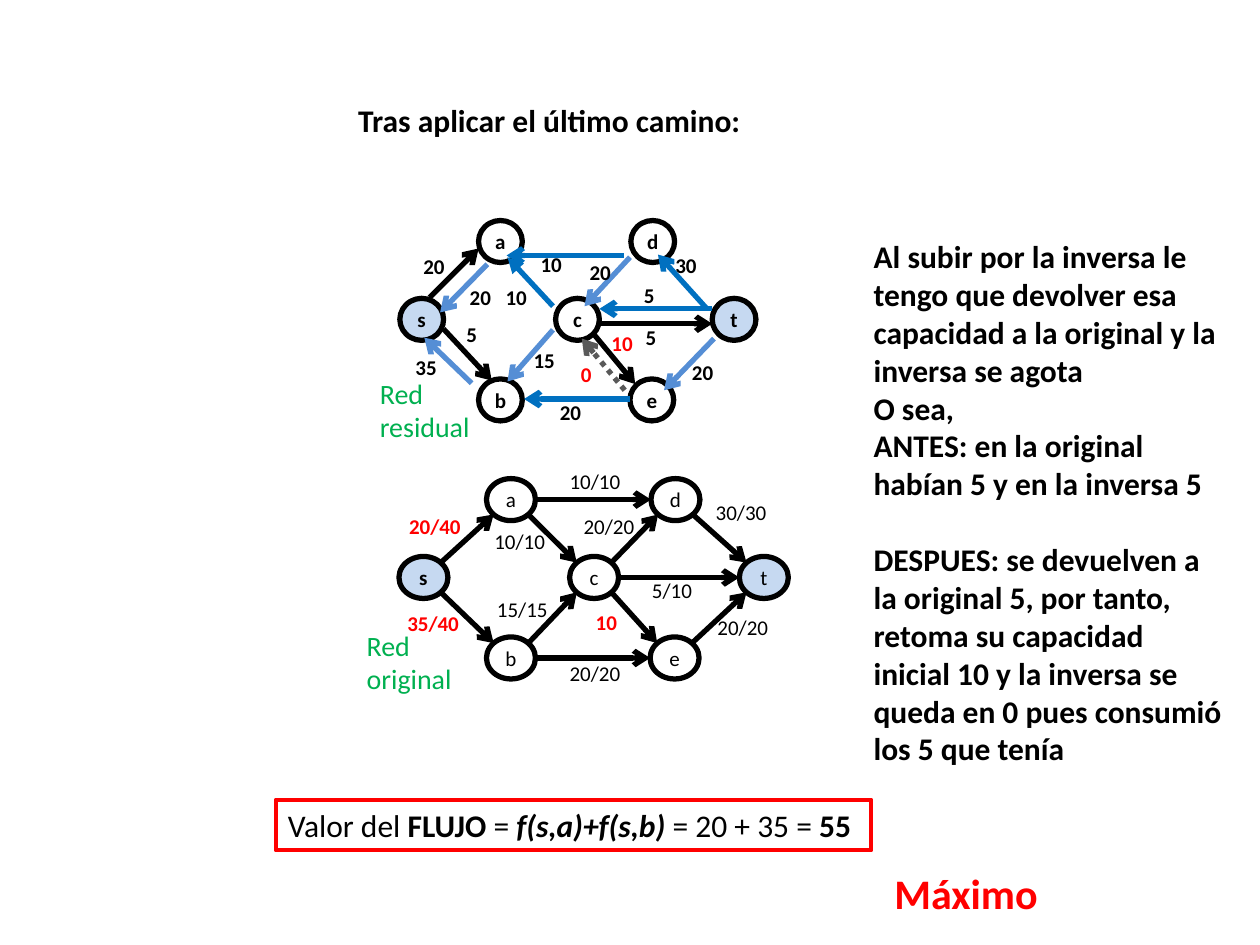
"""Build the slide showing the residual and original flow networks after the last path."""
from pptx import Presentation
from pptx.dml.color import RGBColor
from pptx.enum import dml, shapes, text
from pptx.oxml import ns, xmlchemy
from pptx.util import Pt

COLOURS = {
    "black": "000000", "red": "FF0000", "green": "00B050", "terminal": "C6D9F1",
    "light": "558ED5", "blue": "0070C0", "grey": "595959",
}
FRAME = {"word_wrap": True, "vertical_anchor": text.MSO_ANCHOR.TOP,
         "auto_size": text.MSO_AUTO_SIZE.NONE}
LABEL_FRAME = {**FRAME, "word_wrap": False}
NODE_FRAME = {**LABEL_FRAME, "vertical_anchor": text.MSO_ANCHOR.MIDDLE,
              "margin_left": 0, "margin_right": 0}
LEFT = {"alignment": text.PP_ALIGN.LEFT, "space_before": Pt(0)}
CENTRED = {**LEFT, "alignment": text.PP_ALIGN.CENTER}

RESIDUAL_NODES = {
    "s": (241, 182.5), "a": (286, 138), "b": (286, 228.5), "c": (330, 182.5),
    "d": (373, 138), "e": (372.5, 228.5), "t": (419.5, 182.5),
}
RESIDUAL_EDGES = {
    "black": [(245.5, 170, 273.5, 142), (253.5, 188, 281, 217.5),
              (342.5, 185, 407, 185), (338.5, 190, 363, 219.5)],
    "light": [(278.5, 151, 251.5, 178.5), (269.5, 219, 242.5, 193),
              (360, 147, 334, 175), (316, 188.5, 290, 218),
              (408, 193.5, 379.5, 223)],
    "blue": [(407, 176.5, 342.5, 176.5), (356.5, 146, 289.5, 146),
             (404, 176.5, 376, 145.5), (360, 228, 299.5, 228)],
}
RESIDUAL_CAPACITIES = [
    ("20", 248, 152.5), ("5", 372, 193), ("5", 269.5, 191), ("20", 274.5, 170),
    ("35", 243.5, 210), ("5", 371, 169), ("10", 315, 151), ("10", 295, 170),
    ("30", 392, 152), ("20", 343, 156), ("15", 311, 206), ("20", 401.5, 213),
    ("20", 326, 236),
]
CHANGED_CAPACITIES = [("10", 355.5, 196.5), ("0", 335, 214)]

FLOW_NODES = {
    "s": (242, 330), "a": (292, 285.5), "b": (292, 376), "c": (339.5, 330),
    "d": (386, 285.5), "e": (385.5, 376), "t": (436.5, 330),
}
FLOW_EDGES = ["sa", "sb", "be", "dt", "et", "ad", "ct", "ac", "ce", "bc", "cd"]
FLOWS = [
    ("10/10", 340, 275), ("30/30", 423.5, 293), ("10/10", 297, 309.5),
    ("5/10", 384, 337.5), ("20/20", 424.5, 358.5), ("20/20", 340, 385),
    ("15/15", 298.5, 348.5), ("20/20", 348, 301),
]
CHANGED_FLOWS = [("20/40", 248.5, 301), ("35/40", 247.5, 356.5), ("10", 346.5, 355.5)]

EXPLANATION = [
    "Al subir por la inversa le tengo que devolver esa capacidad a la original "
    "y la inversa se agota",
    "O sea,",
    "ANTES: en la original habían 5 y en la inversa 5",
    "DESPUES: se devuelven a la original 5, por tanto, retoma su capacidad inicial 10 "
    "y la inversa se queda en 0 pues consumió los 5 que tenía",
]
FLOW_VALUE = [
    ("Valor del ", {}), ("FLUJO ", {"bold": True}), ("= ", {}),
    ("f(s,a)+f(s,b) ", {"bold": True, "italic": True}),
    ("= 20 + 35 = ", {}), ("55", {"bold": True}),
]


def rgb(colour):
    return RGBColor.from_string(COLOURS[colour])


def apply(target, values):
    for attribute, value in values.items():
        setattr(target, attribute, value)


def write(box, paragraphs, size, colour="black", frame=FRAME, layout=LEFT, **font):
    words = box.text_frame
    apply(words, frame)
    for index, runs in enumerate(paragraphs):
        paragraph = words.add_paragraph() if index else words.paragraphs[0]
        apply(paragraph, layout)
        for wording, emphasis in [(runs, {})] if isinstance(runs, str) else runs:
            run = paragraph.add_run()
            run.text = wording
            apply(run.font, {"name": "Calibri", "size": Pt(size), "bold": False,
                             **font, **emphasis})
            run.font.color.rgb = rgb(colour)


def place(box, left, top, width, height):
    apply(box, {"left": Pt(left), "top": Pt(top), "width": Pt(width), "height": Pt(height)})


def outlined(slide, kind, bounds, colour, weight, fill=None):
    outline = slide.shapes.add_shape(kind, *map(Pt, bounds))
    outline.shadow.inherit = False
    if fill:
        outline.fill.solid()
        outline.fill.fore_color.rgb = rgb(fill)
    else:
        outline.fill.background()
    outline.line.color.rgb = rgb(colour)
    outline.line.width = Pt(weight)
    return outline


def add_note(slide, bounds, paragraphs, size, colour, **font):
    note = slide.shapes.add_textbox(*map(Pt, bounds))
    write(note, paragraphs, size, colour, **font)


def add_label(slide, wording, x, y, colour="black", **font):
    width = 14.4 + 6.1 * len(wording)
    add_note(slide, (x - width / 2, y - 11, width, 22), [wording], 12, colour,
             frame=LABEL_FRAME, layout=CENTRED, **font)


def add_nodes(slide, nodes, width, bold_names):
    for name, (x, y) in nodes.items():
        node = outlined(slide, shapes.MSO_SHAPE.OVAL, (x - width / 2, y - 12, width, 24),
                        "black", 3, "terminal" if name in "st" else None)
        write(node, [name], 12, frame=NODE_FRAME, layout=CENTRED, bold=name in bold_names)


def add_arrow(slide, ends, colour="black", head="arrow", dash=None):
    arrow = slide.shapes.add_connector(shapes.MSO_CONNECTOR.STRAIGHT, *map(Pt, ends))
    arrow.line.color.rgb = rgb(colour)
    arrow.line.width = Pt(3)
    if dash:
        arrow.line.dash_style = dash
    tip = xmlchemy.OxmlElement("a:tailEnd")
    tip.set("type", head)
    arrow.line._get_or_add_ln().append(tip)
    arrow._element.find(ns.qn("p:spPr")).append(xmlchemy.OxmlElement("a:effectLst"))


def rim_points(start, end, width):
    (x1, y1), (x2, y2) = start, end
    if y1 == y2:
        return x1 + width / 2, y1, x2 - width / 2, y2
    dx, dy = 0.354 * width, 8.5 if y2 > y1 else -8.5
    return x1 + dx, y1 + dy, x2 - dx, y2 - dy


def add_residual_network(slide):
    add_nodes(slide, RESIDUAL_NODES, 25, "sabcdet")
    for colour, edges in RESIDUAL_EDGES.items():
        for ends in edges:
            add_arrow(slide, ends, colour)
    add_arrow(slide, (316, 175, 290, 147), "blue", head="triangle")
    add_arrow(slide, (357, 223, 332.5, 193.5), "grey", dash=dml.MSO_LINE.ROUND_DOT)
    for capacity in RESIDUAL_CAPACITIES:
        add_label(slide, *capacity, bold=True)
    for capacity in CHANGED_CAPACITIES:
        add_label(slide, *capacity, "red", bold=True)
    add_note(slide, (210, 211.5, 109.5, 46), ["Red", "residual"], 16, "green")


def add_flow_network(slide):
    add_nodes(slide, FLOW_NODES, 28, "s")
    for start, end in FLOW_EDGES:
        add_arrow(slide, rim_points(FLOW_NODES[start], FLOW_NODES[end], 28))
    for flow in FLOWS:
        add_label(slide, *flow)
    for flow in CHANGED_FLOWS:
        add_label(slide, *flow, "red", bold=True)
    add_note(slide, (202.5, 355.5, 99.5, 46), ["Red", "original"], 16, "green")


def add_explanation(body):
    place(body, 492, 132, 216, 312.5)
    write(body, EXPLANATION, 18, bold=True)
    for paragraph in body.text_frame.paragraphs:
        properties = paragraph._p.get_or_add_pPr()
        apply_indent = {"marL": "0", "indent": "0"}
        for key, value in apply_indent.items():
            properties.set(key, value)
        properties.append(xmlchemy.OxmlElement("a:buNone"))
    paragraph.space_before = Pt(22)


def main():
    deck = Presentation()
    apply(deck, {"slide_width": Pt(720), "slide_height": Pt(540)})
    slide = deck.slides.add_slide(deck.slide_layouts[1])
    heading, body = slide.placeholders
    place(heading, 197.5, 54, 354, 29)
    write(heading, ["Tras aplicar el último camino:"], 18, bold=True)
    add_explanation(body)
    add_residual_network(slide)
    add_flow_network(slide)
    result = outlined(slide, shapes.MSO_SHAPE.RECTANGLE, (157.5, 457, 340.5, 29), "red", 2.25)
    write(result, [FLOW_VALUE], 18)
    add_note(slide, (504, 492, 122.5, 36), ["Máximo"], 24, "red", bold=True)
    deck.save("out.pptx")


if __name__ == "__main__":
    main()
